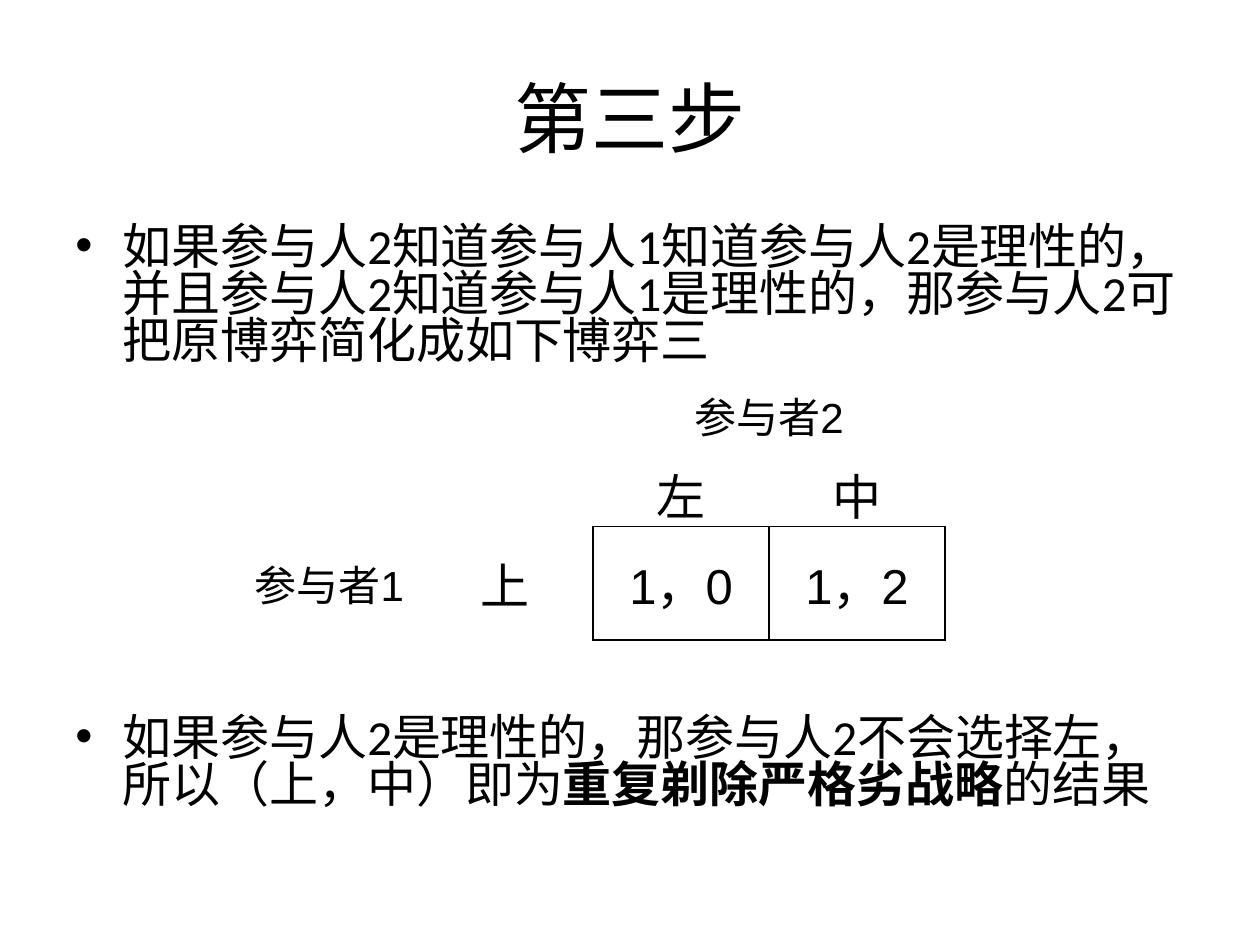
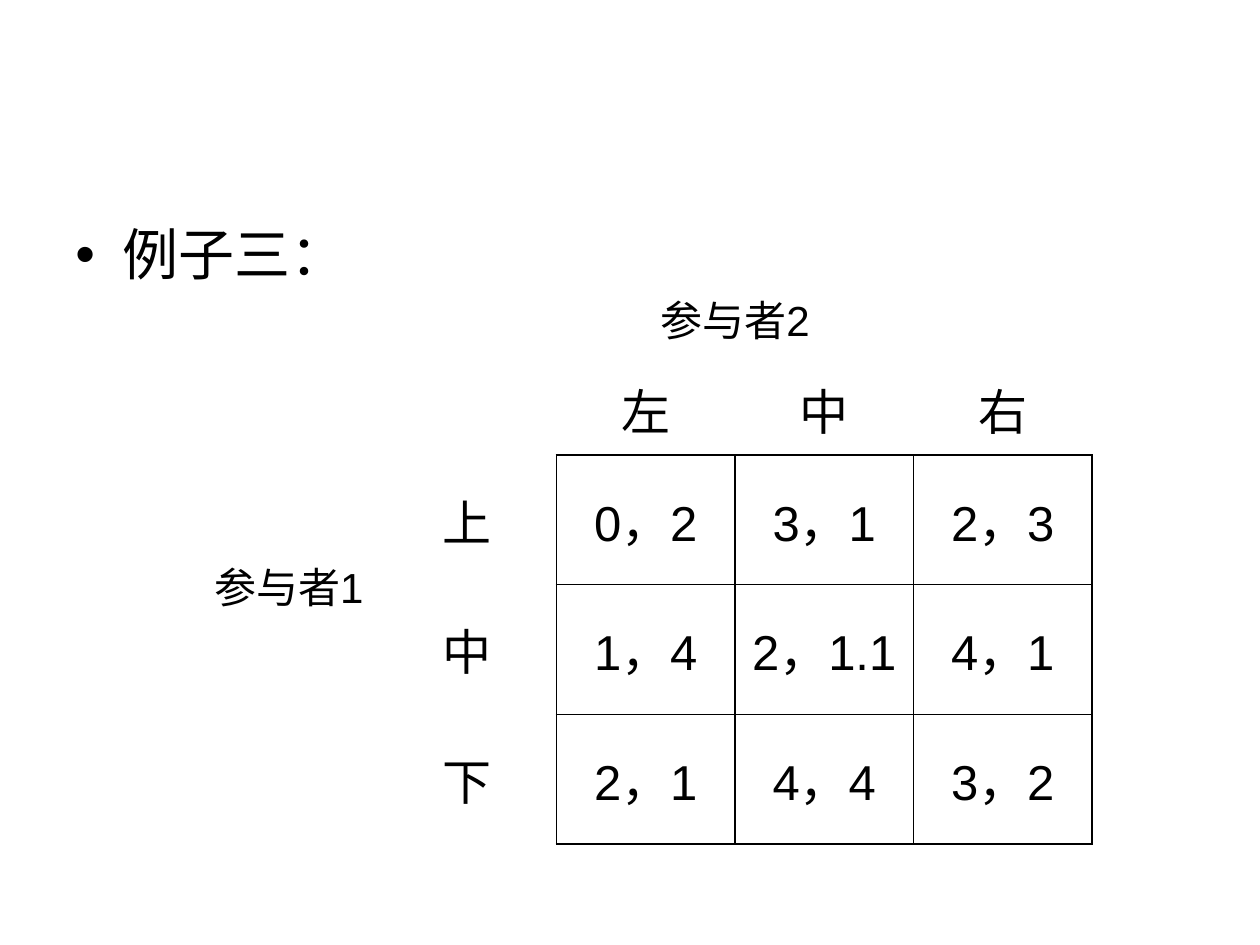
from lxml import etree
from pptx import Presentation
from pptx.dml.color import RGBColor
from pptx.enum import text
from pptx.oxml import ns
from pptx.util import Pt

INK = "000000"
BODY_FONT, GAME_FONT = "Calibri", "Arial"
PLAYER_SIZE, MOVE_SIZE = 24, 28
NO_GRID_STYLE = "{2D5ABB26-0587-4C30-8999-92F81FD0307C}"

SLIDES = [
    {
        "title": "第三步",
        "points": [
            [("如果参与人2知道参与人1知道参与人2是理性的，并且参与人2知道参与人1是理性的，"
              "那参与人2可把原博弈简化成如下博弈三", False)],
            [("如果参与人2是理性的，那参与人2不会选择左，所以（上，中）即为", False),
             ("重复剃除严格劣战略", True), ("的结果", False)],
        ],
        "points_box": (36, 126, 648, 372),
        "points_style": {"size": 28, "line": 0.8, "gap": 200},
        "columns": ["左", "中"],
        "payoffs": {"上": ["1，0", "1，2"]},
        "game_at": (138, 216),
        "column_width": 100.5,
        "row_heights": (42.5, 60),
    },
    {
        "title": None,
        "points": [[("例子三：", False)]],
        "points_box": (36, 126, 648, 396),
        "points_style": {"size": 32, "line": 0.9, "gap": 0},
        "columns": ["左", "中", "右"],
        "payoffs": {
            "上": ["0，2", "3，1", "2，3"],
            "中": ["1，4", "2，1.1", "4，1"],
            "下": ["2，1", "4，4", "3，2"],
        },
        "game_at": (114, 156),
        "column_width": 102,
        "row_heights": (52, 74),
    },
]


def colour(value):
    return RGBColor.from_string(value)


def write(paragraph, words, size, font, bold=False):
    run = paragraph.add_run()
    run.text = words
    style = {"size": Pt(size), "name": font, "bold": bold}
    for name, value in style.items():
        setattr(run.font, name, value)
    run.font.color.rgb = colour(INK)


def add_child(parent, tag, **attributes):
    return etree.SubElement(parent, ns.qn(tag), **attributes)


def add_title(slide, title):
    heading = slide.shapes.title
    for name, value in zip(("left", "top", "width", "height"), (36, 21.6, 648, 90)):
        setattr(heading, name, Pt(value))
    heading.text_frame.vertical_anchor = text.MSO_ANCHOR.MIDDLE
    paragraph = heading.text_frame.paragraphs[0]
    paragraph.alignment = text.PP_ALIGN.CENTER
    write(paragraph, title, 44, BODY_FONT)


def add_points(slide, points, box, style):
    frame = slide.shapes.add_textbox(*map(Pt, box)).text_frame
    frame.word_wrap = True
    for index, point in enumerate(points):
        paragraph = frame.add_paragraph() if index else frame.paragraphs[0]
        paragraph.line_spacing = style["line"]
        paragraph.space_before = Pt(style["gap"] if index else 0)
        properties = paragraph._p.get_or_add_pPr()
        properties.set("marL", str(Pt(27)))
        properties.set("indent", str(Pt(-27)))
        add_child(properties, "a:buFont", typeface="Arial")
        add_child(properties, "a:buChar", char="•")
        for words, bold in point:
            write(paragraph, words, style["size"], BODY_FONT, bold)


def add_borders(cell):
    properties = cell._tc.get_or_add_tcPr()
    for side in "LRTB":
        line = add_child(properties, f"a:ln{side}", w=str(Pt(1)))
        add_child(add_child(line, "a:solidFill"), "a:srgbClr", val=INK)


def fill_cell(cell, words, size=MOVE_SIZE):
    cell.vertical_anchor = text.MSO_ANCHOR.MIDDLE
    paragraph = cell.text_frame.paragraphs[0]
    paragraph.alignment = text.PP_ALIGN.CENTER
    write(paragraph, words, size, GAME_FONT)


def add_game(slide, columns, payoffs, at, column_width, row_heights):
    head_height, payoff_height = row_heights
    heights = [head_height] * 2 + [payoff_height] * len(payoffs)
    column_count = len(columns) + 2
    size = (column_width * column_count, sum(heights))
    game = slide.shapes.add_table(len(heights), column_count, *map(Pt, at + size)).table
    game.first_row = game.horz_banding = False
    game._tbl.tblPr.find(ns.qn("a:tableStyleId")).text = NO_GRID_STYLE
    for column in game.columns:
        column.width = Pt(column_width)
    for row, height in zip(game.rows, heights):
        row.height = Pt(height)

    game.cell(0, 2).merge(game.cell(0, 3))
    fill_cell(game.cell(0, 2), "参与者2", PLAYER_SIZE)
    if len(payoffs) > 1:
        game.cell(2, 0).merge(game.cell(3, 0))
    fill_cell(game.cell(2, 0), "参与者1", PLAYER_SIZE)

    for c, move in enumerate(columns, 2):
        fill_cell(game.cell(1, c), move)
    for r, (move, values) in enumerate(payoffs.items(), 2):
        fill_cell(game.cell(r, 1), move)
        for c, value in enumerate(values, 2):
            add_borders(game.cell(r, c))
            fill_cell(game.cell(r, c), value)
    for cell in game.iter_cells():
        cell.fill.background()


def main():
    deck = Presentation()
    deck.slide_width, deck.slide_height = Pt(720), Pt(540)
    title_only, blank = deck.slide_layouts[5], deck.slide_layouts[6]
    for content in SLIDES:
        slide = deck.slides.add_slide(title_only if content["title"] else blank)
        if content["title"]:
            add_title(slide, content["title"])
        add_points(slide, content["points"], content["points_box"], content["points_style"])
        add_game(slide, content["columns"], content["payoffs"], content["game_at"],
                 content["column_width"], content["row_heights"])
    deck.save("out.pptx")


if __name__ == "__main__":
    main()
